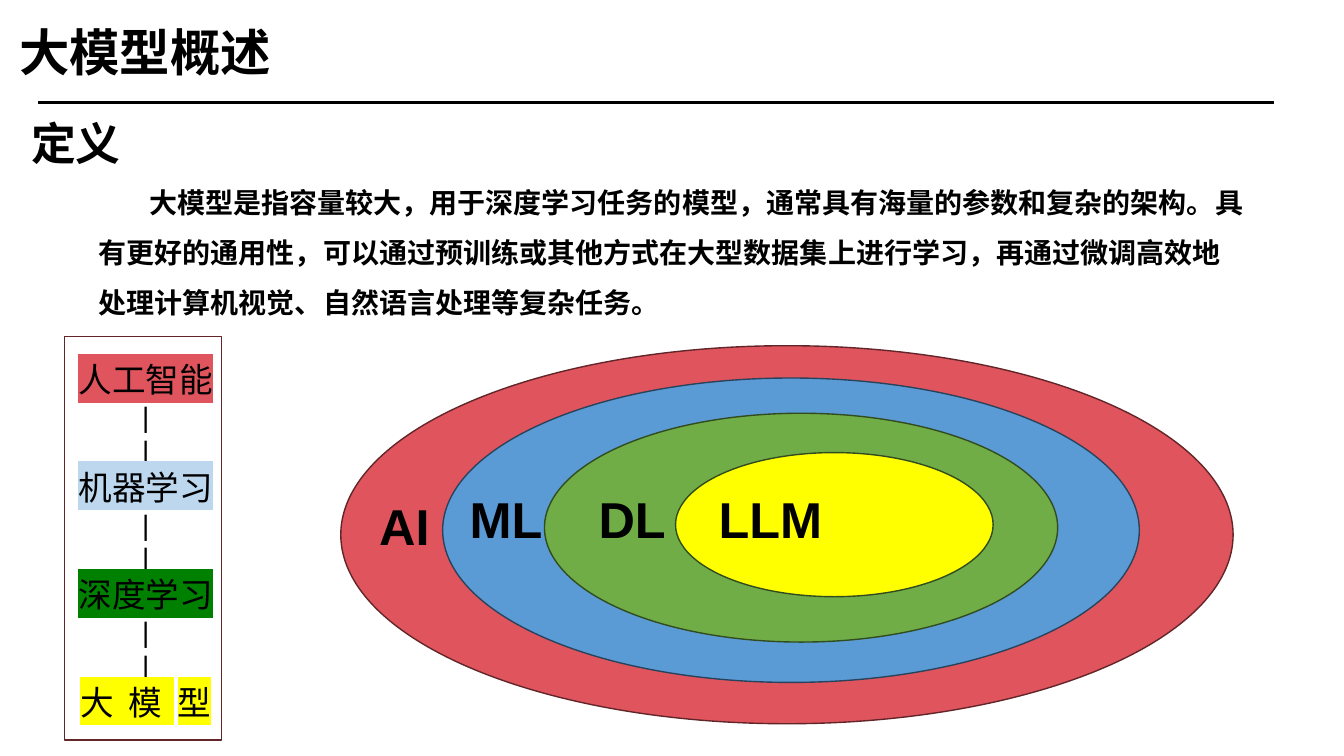
from dataclasses import dataclass

from lxml import etree
from pptx import Presentation
from pptx.dml.color import RGBColor
from pptx.enum.shapes import MSO_CONNECTOR, MSO_SHAPE
from pptx.enum.text import MSO_ANCHOR, MSO_AUTO_SIZE, PP_ALIGN
from pptx.oxml.ns import qn
from pptx.util import Emu, Pt

OVAL, RECTANGLE = MSO_SHAPE.OVAL, MSO_SHAPE.RECTANGLE
STRAIGHT = MSO_CONNECTOR.STRAIGHT
LEFT, CENTER = PP_ALIGN.LEFT, PP_ALIGN.CENTER
TOP, MIDDLE = MSO_ANCHOR.TOP, MSO_ANCHOR.MIDDLE
NO_AUTOFIT = MSO_AUTO_SIZE.NONE

EMU_PER_PX = 9144
FONT = "Arial"
COLOURS = {
    "black": "000000",
    "red": "E0545D",
    "blue": "5B9BD5",
    "pale blue": "BDD7EE",
    "green": "70AD47",
    "deep green": "008000",
    "yellow": "FFFF00",
    "dark red": "622529",
    "dark blue": "28445D",
    "dark green": "314C1F",
}


@dataclass(frozen=True)
class Box:
    left: int
    top: int
    width: int
    height: int

    def emu(self) -> tuple[Emu, ...]:
        return tuple(px(n) for n in (self.left, self.top, self.width, self.height))


@dataclass(frozen=True)
class Ring:
    label: str
    box: Box
    label_box: Box
    fill: str
    outline: str


@dataclass(frozen=True)
class Level:
    words: tuple[str, ...]
    highlight: str
    spacing: int = 0


RINGS = (
    Ring("AI", Box(338, 343, 885, 375), Box(310, 486, 182, 71), "red", "dark red"),
    Ring("ML", Box(439, 375, 691, 302), Box(412, 479, 180, 71), "blue", "dark blue"),
    Ring("DL", Box(540, 410, 509, 227), Box(561, 479, 132, 71), "green", "dark green"),
    Ring("LLM", Box(670, 449, 315, 143), Box(693, 479, 142, 71), "yellow", "dark green"),
)
LEVELS = (
    Level(("人工智能",), "red"),
    Level(("机器学习",), "pale blue"),
    Level(("深度学习",), "deep green"),
    Level(("大 模 ", "型"), "yellow", 270),
)
DEFINITION = (
    "大模型是指容量较大，用于深度学习任务的模型，通常具有海量的参数和复杂的架构。"
    "具有更好的通用性，可以通过预训练或其他方式在大型数据集上进行学习，"
    "再通过微调高效地处理计算机视觉、自然语言处理等复杂任务。"
)


def px(length: int) -> Emu:
    return Emu(length * EMU_PER_PX)


def colour(name: str) -> RGBColor:
    return RGBColor.from_string(COLOURS[name])


def add_run(paragraph, text: str, size: int, bold: bool = False):
    run = paragraph.add_run()
    run.text = text
    run.font.size = Pt(size)
    run.font.bold = bold
    run.font.name = FONT
    run.font.color.rgb = colour("black")
    return run


def add_highlight(run, name: str) -> None:
    properties = run._r.get_or_add_rPr()
    highlight = etree.Element(qn("a:highlight"))
    etree.SubElement(highlight, qn("a:srgbClr")).set("val", COLOURS[name])
    properties.find(qn("a:solidFill")).addnext(highlight)


def prepare_frame(shape, anchor=TOP):
    frame = shape.text_frame
    frame.word_wrap = True
    frame.auto_size = NO_AUTOFIT
    frame.vertical_anchor = anchor
    return frame


def add_text(slide, box: Box, text: str, size: int, align=LEFT):
    frame = prepare_frame(slide.shapes.add_textbox(*box.emu()))
    paragraph = frame.paragraphs[0]
    paragraph.alignment = align
    add_run(paragraph, text, size, bold=True)
    return paragraph


def add_outlined(slide, kind, box: Box, outline: str, fill: str | None = None) -> None:
    shape = slide.shapes.add_shape(kind, *box.emu())
    shape.shadow.inherit = False
    shape.line.color.rgb = colour(outline)
    shape.line.width = Pt(1)
    if fill is None:
        shape.fill.background()
    else:
        shape.fill.solid()
        shape.fill.fore_color.rgb = colour(fill)


def add_title(slide) -> None:
    title = slide.shapes.title
    title.left, title.top, title.width, title.height = Box(0, 15, 288, 71).emu()
    paragraph = prepare_frame(title, MIDDLE).paragraphs[0]
    paragraph.alignment = CENTER
    add_run(paragraph, "大模型概述", 36, bold=True)


def add_title_rule(slide) -> None:
    rule = slide.shapes.add_connector(STRAIGHT, px(38), px(102), px(1264), px(102))
    rule.line.color.rgb = colour("black")
    rule.line.width = Pt(2.25)
    etree.SubElement(rule._element.spPr, qn("a:effectLst"))


def add_definition(slide) -> None:
    add_text(slide, Box(21, 110, 134, 64), "定义", 32)
    definition = add_text(slide, Box(88, 162, 1158, 171), DEFINITION, 20)
    definition.line_spacing = 1.5
    properties = definition._p.get_or_add_pPr()
    properties.set("marL", "0")
    properties.set("indent", str(px(50)))


def add_hierarchy(slide) -> None:
    add_outlined(slide, RECTANGLE, Box(64, 334, 156, 400), "dark red")
    hierarchy = slide.shapes.add_textbox(*Box(49, 355, 191, 363).emu())
    frame = prepare_frame(hierarchy, MIDDLE)
    paragraph = frame.paragraphs[0]
    for index, level in enumerate(LEVELS):
        if index:
            for _ in range(2):
                link = frame.add_paragraph()
                link.alignment = CENTER
                add_run(link, "|", 20)
            paragraph = frame.add_paragraph()
        paragraph.alignment = CENTER
        for word in level.words:
            run = add_run(paragraph, word, 24)
            add_highlight(run, level.highlight)
            if level.spacing and word != level.words[-1]:
                run._r.get_or_add_rPr().set("spc", str(level.spacing))


def add_rings(slide) -> None:
    for ring in RINGS:
        add_outlined(slide, OVAL, ring.box, ring.outline, ring.fill)
        add_text(slide, ring.label_box, ring.label, 36, CENTER)


def main() -> None:
    deck = Presentation()
    deck.slide_width, deck.slide_height = px(1333), px(750)
    slide = deck.slides.add_slide(deck.slide_layouts[5])
    add_title_rule(slide)
    add_title(slide)
    add_definition(slide)
    add_hierarchy(slide)
    add_rings(slide)
    deck.save("out.pptx")


if __name__ == "__main__":
    main()
